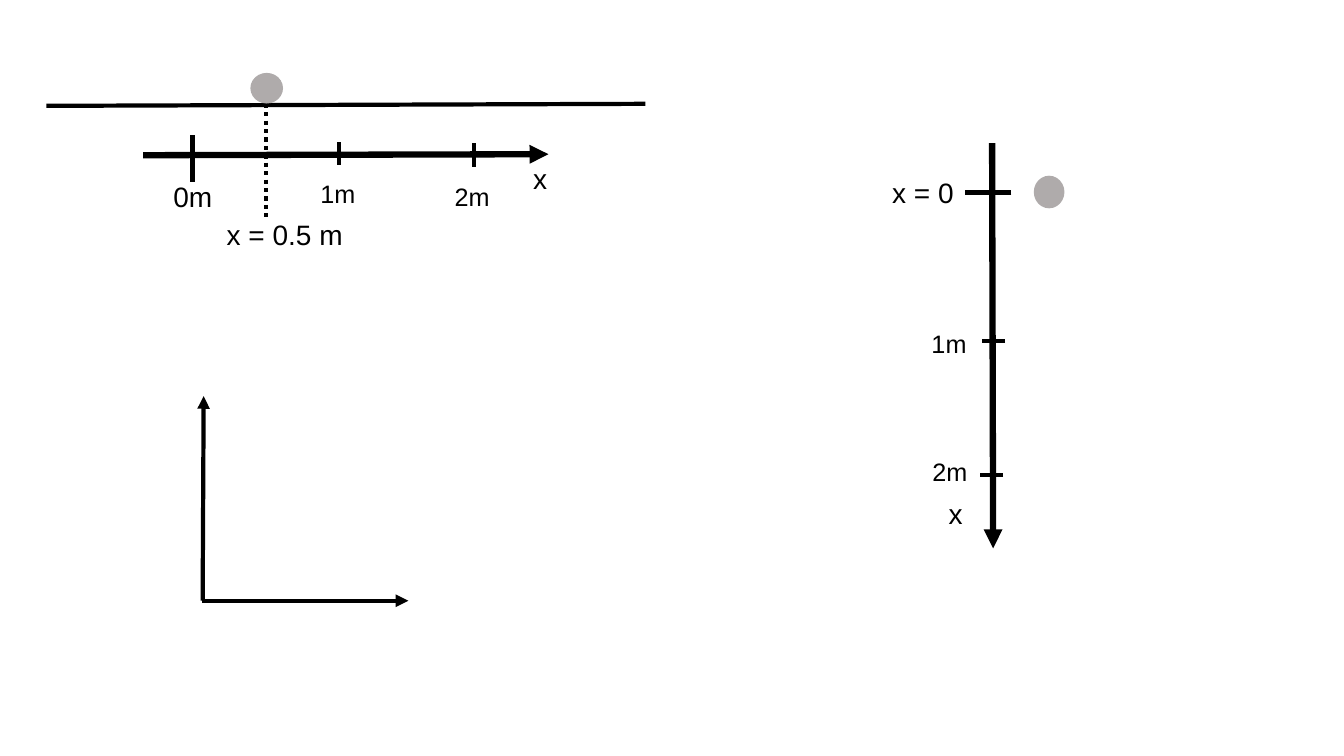
from dataclasses import dataclass

from pptx import Presentation
from pptx.dml.color import RGBColor
from pptx.enum.dml import MSO_LINE_DASH_STYLE as DASH
from pptx.enum.shapes import MSO_CONNECTOR, MSO_SHAPE
from pptx.enum.text import MSO_AUTO_SIZE
from pptx.oxml.ns import qn
from pptx.util import Emu, Pt
from lxml.etree import SubElement

PX = 9144  # EMU per px, 100 px to the inch


@dataclass(frozen=True)
class Theme:
    ink: RGBColor = RGBColor(0x00, 0x00, 0x00)
    ball: RGBColor = RGBColor(0xAF, 0xAB, 0xAB)
    font: str = "Arial"
    label: int = 20
    small: int = 18
    thin: float = 3
    thick: float = 4.5


THEME = Theme()


def px(*lengths):
    return [Emu(n * PX) for n in lengths]


def add_line(group, start, end, width=THEME.thin, arrow=False, dash=None):
    line = group.shapes.add_connector(MSO_CONNECTOR.STRAIGHT, *px(*start, *end))
    line.line.color.rgb = THEME.ink
    line.line.width = Pt(width)
    if dash:
        line.line.dash_style = dash
    if arrow:
        SubElement(line.line._get_or_add_ln(), qn("a:tailEnd"), type="triangle")
    SubElement(line._element.spPr, qn("a:effectLst"))


def add_ball(group, left, top, rotation=0):
    ball = group.shapes.add_shape(MSO_SHAPE.OVAL, *px(left, top, 31, 29))
    ball.rotation = rotation
    ball.shadow.inherit = False
    ball.fill.solid()
    ball.fill.fore_color.rgb = THEME.ball
    ball.line.color.rgb = THEME.ball
    ball.line.width = Pt(1)


def add_label(group, text, left, top, width, size=THEME.label):
    height = 44 if size == THEME.label else 40
    tf = group.shapes.add_textbox(*px(left, top, width, height)).text_frame
    tf.word_wrap = False
    tf.auto_size = MSO_AUTO_SIZE.SHAPE_TO_FIT_TEXT
    p = tf.paragraphs[0]
    p.text = text
    p.font.name = THEME.font
    p.font.size = Pt(size)
    p.font.color.rgb = THEME.ink


def draw_horizontal_motion(group):
    # Axis, track and ball
    add_line(group, (142, 154), (544, 153), THEME.thick, arrow=True)
    add_line(group, (46, 105), (640, 103))
    add_ball(group, 249, 73)
    add_label(group, "x", 519, 155, 34)
    # Ticks
    for x, top, bottom in ((191, 134, 181), (336, 141, 164), (470, 142, 166)):
        add_line(group, (x, top), (x, bottom))
    add_label(group, "0m", 162, 173, 59)
    add_label(group, "1m", 308, 172, 55, THEME.small)
    add_label(group, "2m", 441, 175, 55, THEME.small)
    # Position of the ball
    add_line(group, (264, 103), (264, 217), dash=DASH.ROUND_DOT)
    add_label(group, "x = 0.5 m", 215, 211, 136)


def draw_vertical_motion(group):
    # Axis and ball
    add_line(group, (984, 142), (985, 544), THEME.thick, arrow=True)
    add_ball(group, 1025, 176, rotation=90)
    add_label(group, "x", 931, 488, 34)
    # Ticks
    for y, right, left in ((191, 1003, 957), (338, 997, 974), (471, 995, 972)):
        add_line(group, (right, y), (left, y))
    add_label(group, "x = 0", 875, 169, 82)
    add_label(group, "1m", 914, 321, 55, THEME.small)
    add_label(group, "2m", 915, 448, 55, THEME.small)


def draw_empty_axes(group):
    add_line(group, (201, 596), (202, 393), arrow=True)
    add_line(group, (200, 596), (405, 596), arrow=True)


def main():
    prs = Presentation()
    prs.slide_width, prs.slide_height = px(1333, 750)
    s = prs.slides.add_slide(prs.slide_layouts[6])
    for draw in (draw_horizontal_motion, draw_vertical_motion, draw_empty_axes):
        draw(s.shapes.add_group_shape())
    prs.save("out.pptx")


if __name__ == "__main__":
    main()
